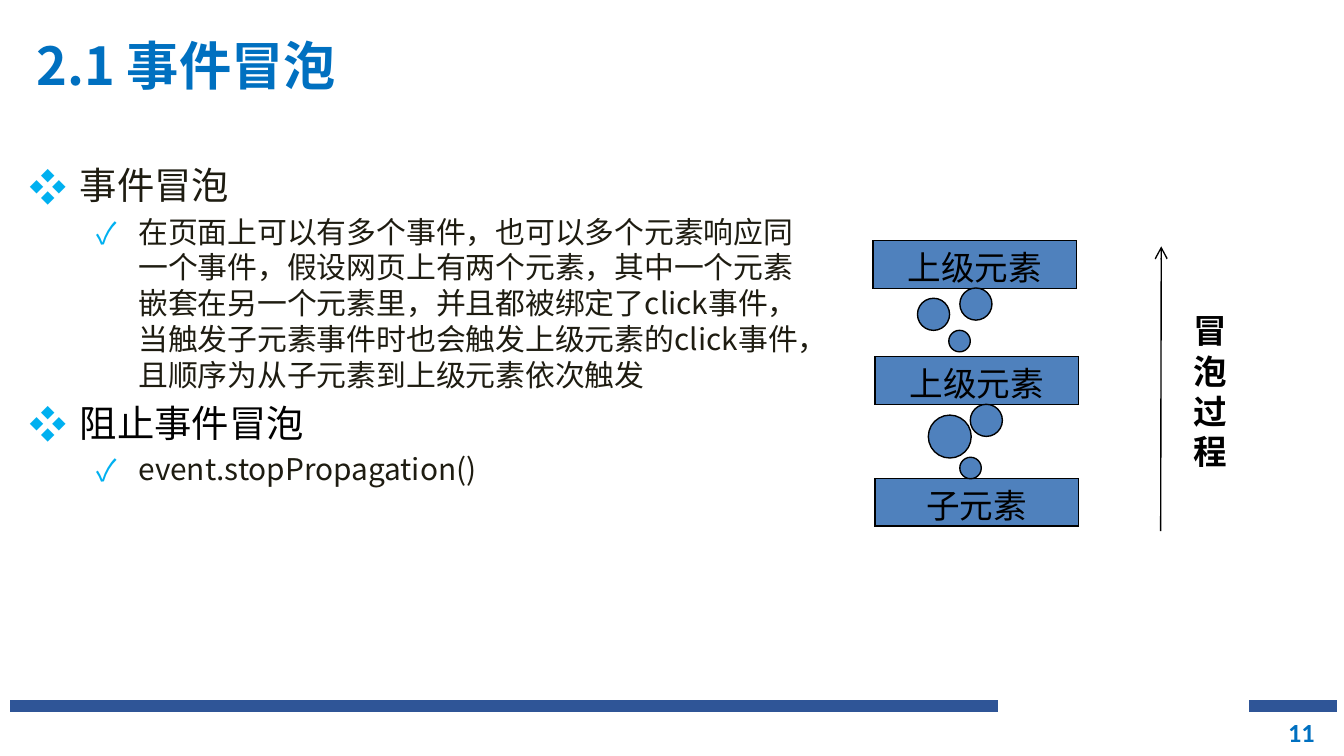
from lxml import etree
from pptx import Presentation
from pptx.dml.color import RGBColor
from pptx.enum.shapes import MSO_CONNECTOR, MSO_SHAPE
from pptx.enum.text import MSO_ANCHOR, PP_ALIGN
from pptx.oxml.ns import qn
from pptx.util import Pt

RECT, OVAL = MSO_SHAPE.RECTANGLE, MSO_SHAPE.OVAL
STRAIGHT = MSO_CONNECTOR.STRAIGHT
TOP, MIDDLE = MSO_ANCHOR.TOP, MSO_ANCHOR.MIDDLE
LEFT, CENTER, RIGHT = PP_ALIGN.LEFT, PP_ALIGN.CENTER, PP_ALIGN.RIGHT

COLORS = {"bar": "2F5597", "title": "0070C0", "bullet": "00B0F0",
          "body": "1E1C11", "box": "4F81BD", "black": "000000"}
CJK = "Noto Sans CJK SC"


def rgb(name):
    return RGBColor.from_string(COLORS[name])


class Deck:
    def __init__(self, width, height):
        self.prs = Presentation()
        self.prs.slide_width, self.prs.slide_height = Pt(width), Pt(height)
        self.slide = self.prs.slides.add_slide(self.prs.slide_layouts[6])

    def style(self, p, size, color, bold=False, font=CJK, align=LEFT):
        p.alignment = align
        f = p.font
        f.size, f.bold, f.name = Pt(size), bold, font
        f.color.rgb = rgb(color)
        ea = etree.SubElement(p._p.pPr.find(qn("a:defRPr")), qn("a:ea"))
        ea.set("typeface", CJK)

    def shape(self, kind, x, y, w, h, fill="box", line="black", weight=0.75):
        sp = self.slide.shapes.add_shape(kind, Pt(x), Pt(y), Pt(w), Pt(h))
        sp.shadow.inherit = False
        sp.fill.solid()
        sp.fill.fore_color.rgb = rgb(fill)
        sp.line.color.rgb = rgb(line)
        sp.line.width = Pt(weight)
        miter = etree.SubElement(sp.line._get_or_add_ln(), qn("a:miter"))
        miter.set("lim", "800000")
        return sp

    def box(self, x, y, w, h, text):
        tf = self.shape(RECT, x, y, w, h).text_frame
        tf.vertical_anchor = TOP
        tf.text = text
        self.style(tf.paragraphs[0], 18, "black", align=CENTER)

    def text(self, x, y, w, h, lines, anchor=TOP, wrap=True, **style):
        tf = self.slide.shapes.add_textbox(Pt(x), Pt(y), Pt(w), Pt(h)).text_frame
        tf.word_wrap, tf.vertical_anchor = wrap, anchor
        tf.text = "\n".join(lines)
        for p in tf.paragraphs:
            self.style(p, **style)
        return tf

    def bullets(self, x, y, w, h, items):
        tf = self.text(x, y, w, h, [text for _, text, _ in items],
                       size=20, color="body")
        for p, (level, _, color) in zip(tf.paragraphs, items):
            size, left, hang, char = LEVELS[level]
            p.level = level
            p.font.size, p.font.color.rgb = Pt(size), rgb(color)
            p.space_before = Pt(size / 5)
            pPr = p._p.pPr
            pPr.set("marL", str(Pt(left)))
            pPr.set("indent", str(Pt(-hang)))
            clr = etree.Element(qn("a:buClr"))
            etree.SubElement(clr, qn("a:srgbClr")).set("val", COLORS["bullet"])
            font = etree.Element(qn("a:buFont"))
            font.set("typeface", CJK)
            bu = etree.Element(qn("a:buChar"))
            bu.set("char", char)
            for el in (clr, font, bu):
                pPr.find(qn("a:defRPr")).addprevious(el)

    def arrow(self, x1, y1, x2, y2):
        c = self.slide.shapes.add_connector(STRAIGHT, Pt(x1), Pt(y1), Pt(x2), Pt(y2))
        c.line.color.rgb, c.line.width = rgb("black"), Pt(0.75)
        ln = c.line._get_or_add_ln()
        etree.SubElement(ln, qn("a:tailEnd")).set("type", "arrow")
        etree.SubElement(c._element.spPr, qn("a:effectLst"))


# Size, left margin, hanging indent and bullet of each level
LEVELS = [(20, 27, 27, "❖"), (16, 58.5, 22.5, "✓")]

deck = Deck(720, 405)

# Footer bars
for x, w in ((5.8, 528.5), (669.8, 46)):
    deck.shape(RECT, x, 375.4, w, 5.8, "bar", "bar", 1)

# Title, page number and body
deck.text(12.5, 0.7, 648, 67.7, ["2.1 事件冒泡"], MIDDLE,
          size=28, color="title", bold=True)
deck.text(543.6, 381.6, 167.8, 21.6, ["11"], MIDDLE, size=14, color="title",
          bold=True, font="Calibri", align=RIGHT)
deck.bullets(8.6, 83.5, 430.6, 197.3, [
    (0, "事件冒泡", "body"),
    (1, "在页面上可以有多个事件，也可以多个元素响应同一个事件，假设网页上有两个元素，"
        "其中一个元素嵌套在另一个元素里，并且都被绑定了click事件，当触发子元素事件时也会"
        "触发上级元素的click事件，且顺序为从子元素到上级元素依次触发", "body"),
    (0, "阻止事件冒泡", "black"),
    (1, "event.stopPropagation()", "body")])

# Nested elements
for x, y, label in ((467.7, 128.9, "上级元素"), (468.7, 191, "上级元素"),
                    (468.7, 256.3, "子元素")):
    deck.box(x, y, 109, 25.6, label)

# Bubbles between the elements
for x, y, d in ((491.5, 159.8, 17.2), (508.3, 177, 11.5), (514.2, 154.3, 17.2),
                (514.2, 245, 11.5), (497.3, 222.4, 23), (519.8, 216.6, 17.2)):
    deck.shape(OVAL, x, y, d, d)

# Direction of bubbling
deck.arrow(621.8, 284.5, 622.1, 132)
deck.text(632.2, 162.7, 32.4, 93.6, "冒泡过程", wrap=False,
          size=18, color="black", bold=True, font="Noto Sans")

deck.prs.save("out.pptx")
